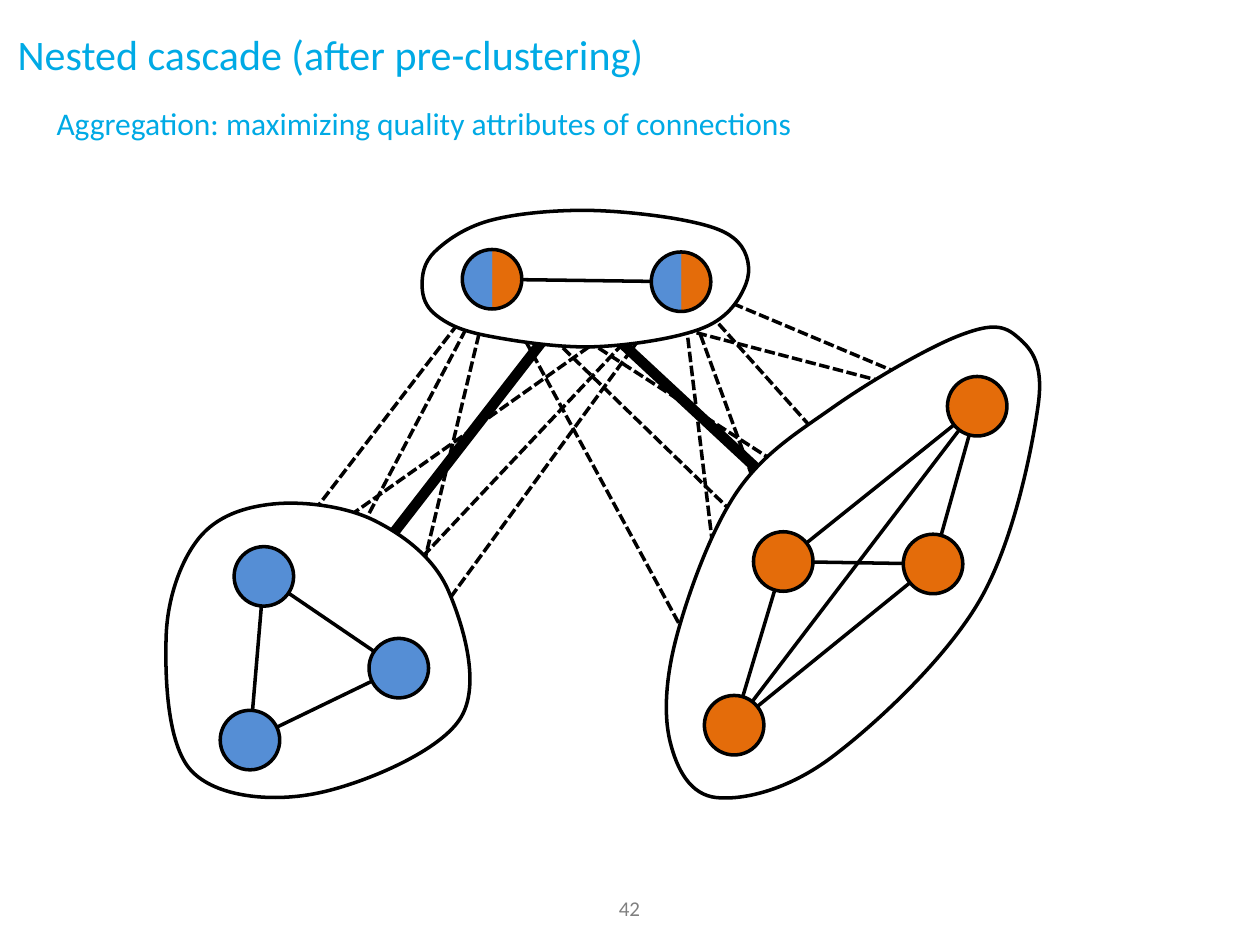
from itertools import combinations, product

from lxml.etree import SubElement
from pptx import Presentation
from pptx.dml.color import RGBColor
from pptx.enum.dml import MSO_LINE
from pptx.enum.shapes import MSO_CONNECTOR, MSO_SHAPE
from pptx.enum.text import MSO_ANCHOR, PP_ALIGN
from pptx.oxml.ns import qn
from pptx.util import Cm, Pt

BLUE, ORANGE, BLACK, WHITE = "558ED5", "E46C0A", "000000", "FFFFFF"
CYAN, GRAY = "00AAE5", "808080"

# Node centres and outline anchors in centimetres
BLUE_NODES = [(5.32, 11.62), (8.04, 13.47), (5.04, 14.92)]
ORANGE_NODES = [(14.8, 14.62), (18.81, 11.37), (19.7, 8.19), (15.79, 11.32)]
SHARED_NODES = [(9.92, 5.63), (13.73, 5.68)]

BLUE_OUTLINE = [(5.51, 10.16), (4.01, 10.85), (3.35, 12.83), (3.86, 15.54),
                (6.35, 16), (9.27, 14.5), (9.04, 11.91), (7.54, 10.49)]
ORANGE_OUTLINE = [(19.3, 6.78), (16.81, 8.2), (14.86, 9.91), (13.64, 12.83),
                  (13.51, 14.96), (14.45, 16.08), (16.76, 15.27),
                  (19.74, 12.12), (20.93, 8.15), (20.47, 6.76)]
SHARED_OUTLINE = [(11.76, 4.24), (9.86, 4.45), (8.76, 5.08), (8.51, 5.77),
                  (8.79, 6.35), (9.78, 6.76), (11.99, 6.99), (14.2, 6.6),
                  (15.04, 5.72), (14.88, 4.88), (13.84, 4.45)]

STRONG_LINKS = [((12.01, 6.43), (17.25, 11.3)), ((11.28, 6.43), (6.2, 12.98))]


def color(hex_string):
    return RGBColor.from_string(hex_string)


def smooth_curve(anchors):
    """Return the Bezier points of a closed curve through the anchors."""
    points = []
    count = len(anchors)
    for i in range(count):
        before, start, end, after = (anchors[(i + k) % count] for k in (-1, 0, 1, 2))
        points.append([s + (e - b) / 6 for b, s, e in zip(before, start, end)])
        points.append([e - (a - s) / 6 for s, e, a in zip(start, end, after)])
        points.append(end)
    return points


class Diagram:
    font = "Calibri"
    line_width = 2
    node_size = 1.2

    def __init__(self, slide):
        self.slide = slide
        self.shapes = slide.shapes

    def format_text(self, shape, text, size, hex_color, align=PP_ALIGN.LEFT,
                    anchor=MSO_ANCHOR.MIDDLE):
        frame = shape.text_frame
        frame.text = text
        frame.word_wrap = True
        frame.vertical_anchor = anchor
        paragraph = frame.paragraphs[0]
        paragraph.alignment = align
        paragraph.font.name = self.font
        paragraph.font.size = Pt(size)
        paragraph.font.color.rgb = color(hex_color)
        return frame

    def title(self, text, left, top, width, height):
        title = self.shapes.title
        title.left, title.top = Cm(left), Cm(top)
        title.width, title.height = Cm(width), Cm(height)
        self.format_text(title, text, 24, CYAN)

    def text(self, text, left, top, width, height, size, hex_color, **layout):
        box = self.shapes.add_textbox(Cm(left), Cm(top), Cm(width), Cm(height))
        return self.format_text(box, text, size, hex_color, **layout)

    def outline(self, shape):
        shape.shadow.inherit = False
        shape.line.color.rgb = color(BLACK)
        shape.line.width = Pt(self.line_width)

    def link(self, start, end, width=line_width, dashed=False):
        ends = [Cm(value) for value in (*start, *end)]
        line = self.shapes.add_connector(MSO_CONNECTOR.STRAIGHT, *ends)
        line.line.color.rgb = color(BLACK)
        line.line.width = Pt(width)
        if dashed:
            line.line.dash_style = MSO_LINE.SQUARE_DOT
        SubElement(line._element.spPr, qn("a:effectLst"))

    def cluster(self, anchors):
        """Draw a white area with a smooth closed outline through the anchors."""
        start = [Cm(value) for value in anchors[0]]
        builder = self.shapes.build_freeform(*start)
        builder.add_line_segments(
            [(Cm(x), Cm(y)) for x, y in smooth_curve(anchors)], close=True)
        area = builder.convert_to_shape()
        segments = area._element.xpath(".//a:lnTo")
        for first, second, third in zip(*[iter(segments)] * 3):
            first.tag = qn("a:cubicBezTo")
            for segment in (second, third):
                first.append(segment[0])
                segment.getparent().remove(segment)
        area.fill.solid()
        area.fill.fore_color.rgb = color(WHITE)
        self.outline(area)

    def node(self, center, left_color, right_color=None):
        x, y = (Cm(value - self.node_size / 2) for value in center)
        size = Cm(self.node_size)
        circle = self.shapes.add_shape(MSO_SHAPE.OVAL, x, y, size, size)
        if right_color:
            circle.fill.gradient()
            circle.fill.gradient_angle = 0
            halves = ((0.5, left_color), (0.51, right_color))
            for stop, (position, hex_color) in zip(circle.fill.gradient_stops, halves):
                stop.position = position
                stop.color.rgb = color(hex_color)
        else:
            circle.fill.solid()
            circle.fill.fore_color.rgb = color(left_color)
        self.outline(circle)

    def network(self, centers, *node_colors):
        """Draw nodes that are all linked to each other."""
        for start, end in combinations(centers, 2):
            self.link(start, end)
        for center in centers:
            self.node(center, *node_colors)


def main():
    deck = Presentation()
    deck.slide_width, deck.slide_height = Cm(25.4), Cm(19.05)
    diagram = Diagram(deck.slides.add_slide(deck.slide_layouts[5]))

    diagram.title("Nested cascade (after pre-clustering)", 0.1, 0.43, 24.41, 1.3)
    page_number = diagram.text("42", 9.73, 18.11, 5.92, 0.41, 12, GRAY,
                               align=PP_ALIGN.CENTER)
    page_number.margin_top = page_number.margin_bottom = 0
    diagram.text("Aggregation: maximizing quality attributes of connections",
                 0.89, 1.98, 23.6, 1.19, 18, CYAN, anchor=MSO_ANCHOR.TOP)

    for start, end in product(SHARED_NODES, BLUE_NODES + ORANGE_NODES):
        diagram.link(start, end, dashed=True)
    for start, end in STRONG_LINKS:
        diagram.link(start, end, width=6)

    for anchors in (BLUE_OUTLINE, ORANGE_OUTLINE, SHARED_OUTLINE):
        diagram.cluster(anchors)

    diagram.network(SHARED_NODES, BLUE, ORANGE)
    diagram.network(ORANGE_NODES, ORANGE)
    diagram.network(BLUE_NODES, BLUE)

    deck.save("out.pptx")


if __name__ == "__main__":
    main()
